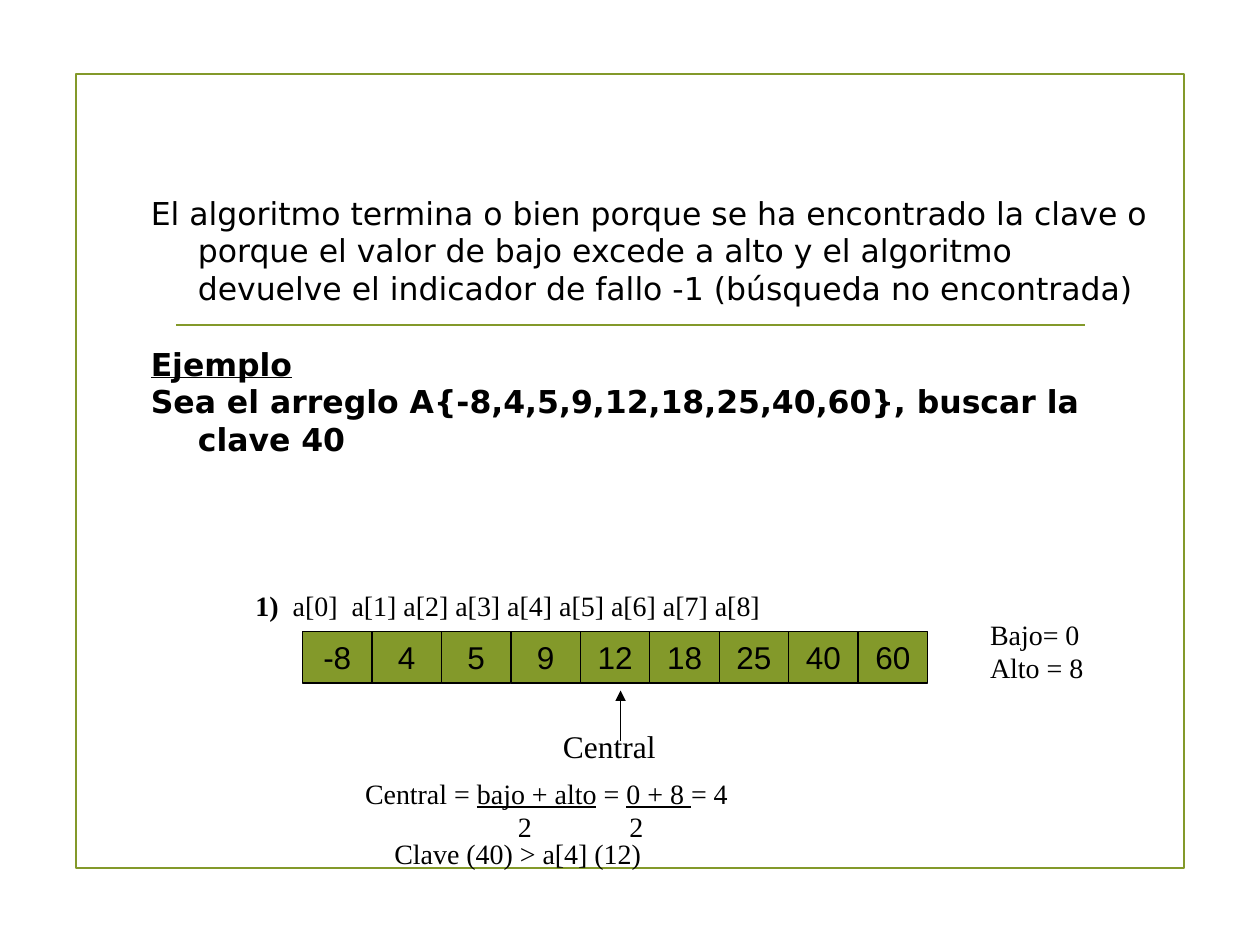
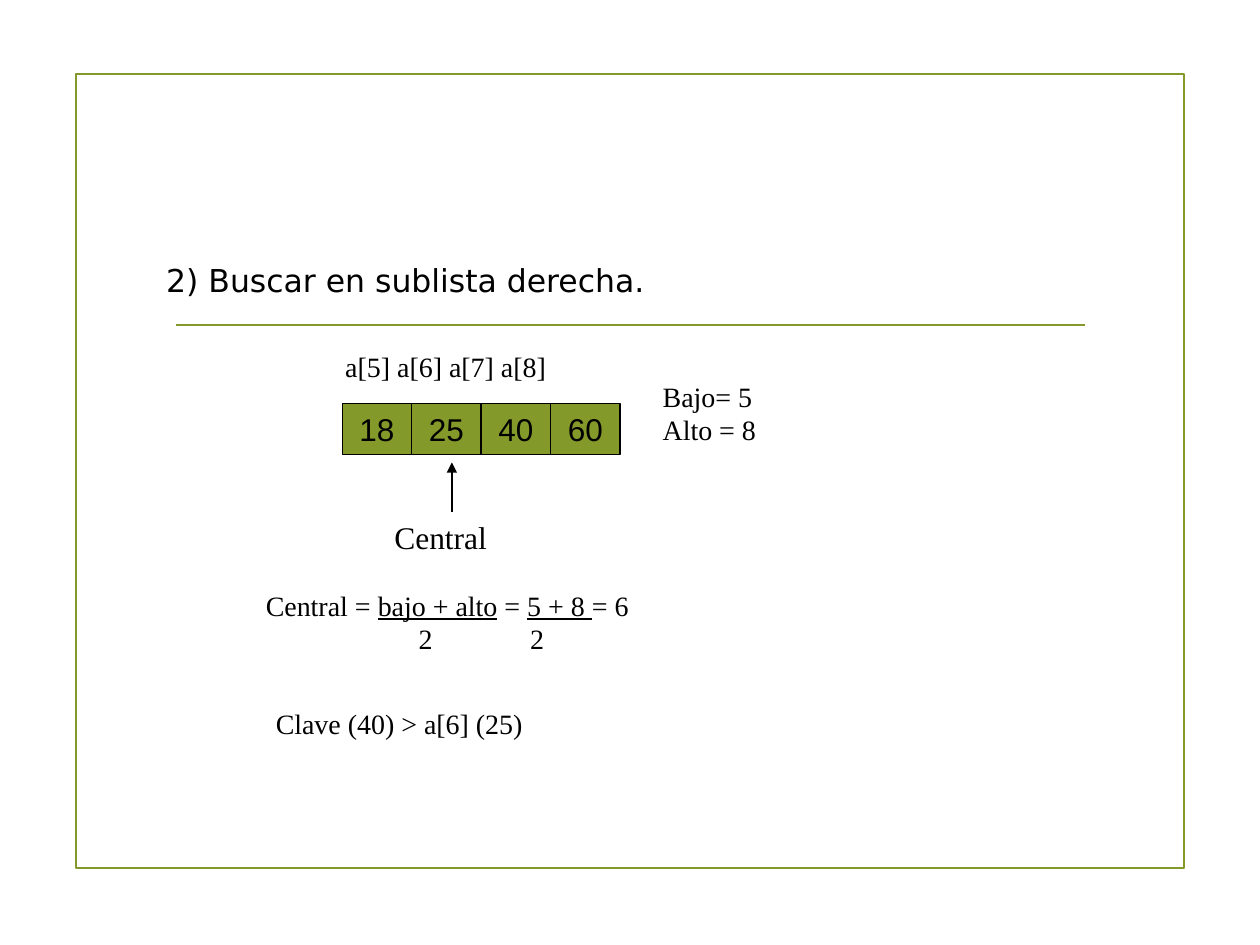
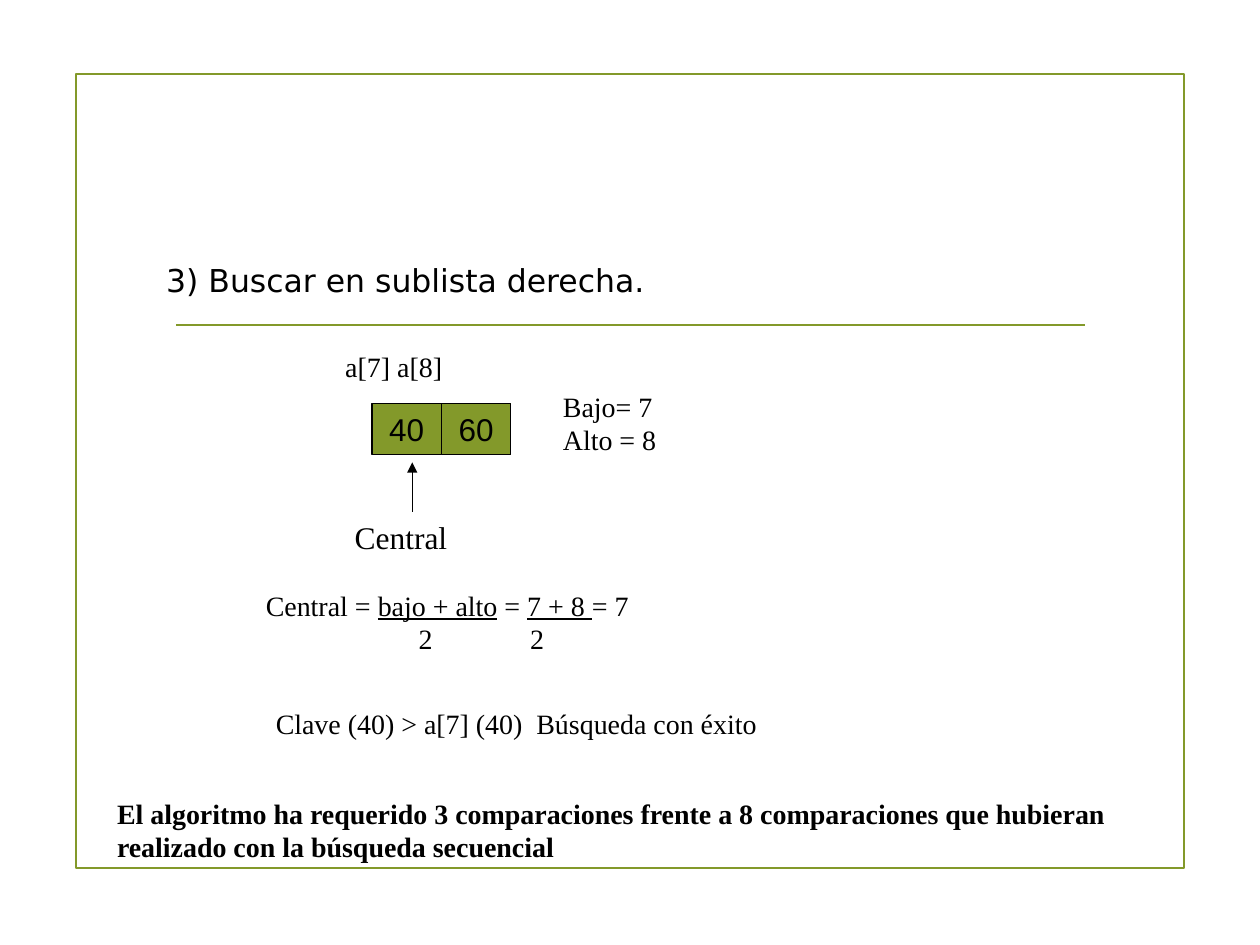
from collections import namedtuple

from lxml.etree import SubElement
from pptx import Presentation
from pptx.dml.color import RGBColor
from pptx.enum.shapes import MSO_CONNECTOR as Link, MSO_SHAPE as Preset
from pptx.enum.text import MSO_ANCHOR as Anchor, PP_ALIGN as Align
from pptx.oxml.ns import qn
from pptx.util import Cm, Pt

GREEN = RGBColor(0x83, 0x99, 0x2A)
BLACK = RGBColor(0x00, 0x00, 0x00)
SANS = "DejaVu Sans"
SERIF = "Times New Roman"
CELL_FONT = "Arial"

ARRAY = [-8, 4, 5, 9, 12, 18, 25, 40, 60]
KEY = 40
HIGH = len(ARRAY) - 1
CELL_WIDTH, CELL_HEIGHT = 1.4, 1.04
LABEL_WIDTH = 2.82

Step = namedtuple("Step", "low row indexes index_at bounds_at label_at formula_at verdict_at ending")
STEPS = [
    Step(0, (6.1, 12.73), [("1)", "b"), ("  a[0]  a[1] a[2] a[3] a[4] a[5] a[6] a[7] a[8]", "")],
         (4.9, 11.73), (19.71, 12.32), (11.1, 14.53), (7.11, 15.52), (7.7, 16.74), ""),
    Step(5, (6.9, 8.13), [("a[5] a[6] a[7] a[8]", "")],
         (6.71, 6.93), (13.11, 7.52), (7.7, 10.32), (5.11, 11.73), (5.31, 14.12), ""),
    Step(7, (7.5, 8.13), [("a[7] a[8]", "")],
         (6.71, 6.93), (11.1, 7.72), (6.9, 10.32), (5.11, 11.73), (5.31, 14.12),
         "  Búsqueda con éxito"),
]


def write(slide, place, size, lines, font=SERIF, points=16):
    box = slide.shapes.add_textbox(*map(Cm, place + size))
    frame = box.text_frame
    frame.word_wrap = True
    for number, line in enumerate(lines):
        para = frame.paragraphs[0] if number == 0 else frame.add_paragraph()
        if font == SANS:
            properties = para._p.get_or_add_pPr()
            properties.set("marL", str(Cm(0.95)))
            properties.set("indent", str(-Cm(0.95)))
        for text, style in line:
            span = para.add_run()
            span.text = text
            span.font.name = font
            span.font.size = Pt(points)
            span.font.color.rgb = BLACK
            span.font.bold = "b" in style
            span.font.underline = "u" in style
    return box


def draw_line(slide, start, end, color, width):
    line = slide.shapes.add_connector(Link.STRAIGHT, *map(Cm, start + end))
    line.line.color.rgb = color
    line.line.width = Pt(width)
    SubElement(line.element.spPr, qn("a:effectLst"))
    return line


deck = Presentation()
deck.slide_width, deck.slide_height = Cm(25.4), Cm(19.05)
blank = deck.slide_layouts[6]
slides = [deck.slides.add_slide(blank) for step in STEPS]

border = slides[0].shapes.add_shape(Preset.RECTANGLE, Cm(1.54), Cm(1.5), Cm(22.33), Cm(16))
border.shadow.inherit = False
border.fill.background()
border.line.color.rgb = GREEN
border.line.width = Pt(1.25)
rule = draw_line(slides[0], (3.55, 6.55), (21.87, 6.55), GREEN, 1.25)
for shared in (border, rule):
    blank.shapes.element.append(shared.element)

intro = write(slides[0], (2.79, 3.78), (20.6, 6.35), [
    [("El algoritmo termina o bien porque se ha encontrado la clave o porque el valor de bajo "
      "excede a alto y el algoritmo devuelve el indicador de fallo -1 (búsqueda no encontrada)", "")],
    [("Ejemplo", "bu")],
    [("Sea el arreglo A{-8,4,5,9,12,18,25,40,60}, buscar la clave 40", "b")],
], SANS, 18)
intro.text_frame.paragraphs[1].space_before = Pt(21.5)

for number, slide in enumerate(slides[1:], 2):
    write(slide, (3.1, 5.13), (20.6, 1.78),
          [[(f"{number}) Buscar en sublista derecha.", "")]], SANS, 18)

for slide, step in zip(slides, STEPS):
    row_left, row_top = step.row
    for column, value in enumerate(ARRAY[step.low:]):
        cell = slide.shapes.add_shape(Preset.RECTANGLE, Cm(row_left + column * CELL_WIDTH),
                                      Cm(row_top), Cm(CELL_WIDTH), Cm(CELL_HEIGHT))
        cell.shadow.inherit = False
        cell.fill.solid()
        cell.fill.fore_color.rgb = GREEN
        cell.line.color.rgb = BLACK
        cell.line.width = Pt(0.75)
        cell.text_frame.text = str(value)
        cell.text_frame.vertical_anchor = Anchor.MIDDLE
        para = cell.text_frame.paragraphs[0]
        para.alignment = Align.CENTER
        para.font.name = CELL_FONT
        para.font.size = Pt(18)
        para.font.color.rgb = BLACK

    write(slide, step.index_at, (15.39, 0.94), [step.indexes])
    write(slide, step.bounds_at, (3.3, 1.96),
          [[(f"Bajo= {step.low}", "")], [(f"Alto = {HIGH}", "")]])

    label = write(slide, step.label_at, (LABEL_WIDTH, 1.02), [[("Central", "")]], points=18)
    arrow_x = step.label_at[0] + LABEL_WIDTH / 2
    arrow = draw_line(slide, (arrow_x, row_top + 2.2), (arrow_x, row_top + 1.19), BLACK, 0.75)
    arrow.line._get_or_add_ln().append(
        arrow.element.makeelement(qn("a:tailEnd"), {"type": "triangle"}))
    if step.label_at[1] > row_top + 2:
        arrow.begin_connect(label, 0)

    center = (step.low + HIGH) // 2
    formula = write(slide, step.formula_at, (10.59, 1.96), [
        [("Central = ", ""), ("bajo + alto", "u"), (" = ", ""),
         (f"{step.low} + {HIGH} ", "u"), (f"= {center}", "")],
        [("\t2\t2", "")],
    ])
    tabs = SubElement(formula.text_frame.paragraphs[1]._p.get_or_add_pPr(), qn("a:tabLst"))
    for position in (3.08, 5.33):
        SubElement(tabs, qn("a:tab"), pos=str(Cm(position)), algn="l")

    write(slide, step.verdict_at, (14, 0.94),
          [[(f"Clave ({KEY}) > a[{center}] ({ARRAY[center]}){step.ending}", "")]])

write(slides[-1], (2.11, 15.93), (22.6, 1.63), [
    [("El algoritmo ha requerido 3 comparaciones frente a 8 comparaciones que hubieran "
      "realizado con la búsqueda secuencial", "b")],
])

deck.save("out.pptx")
